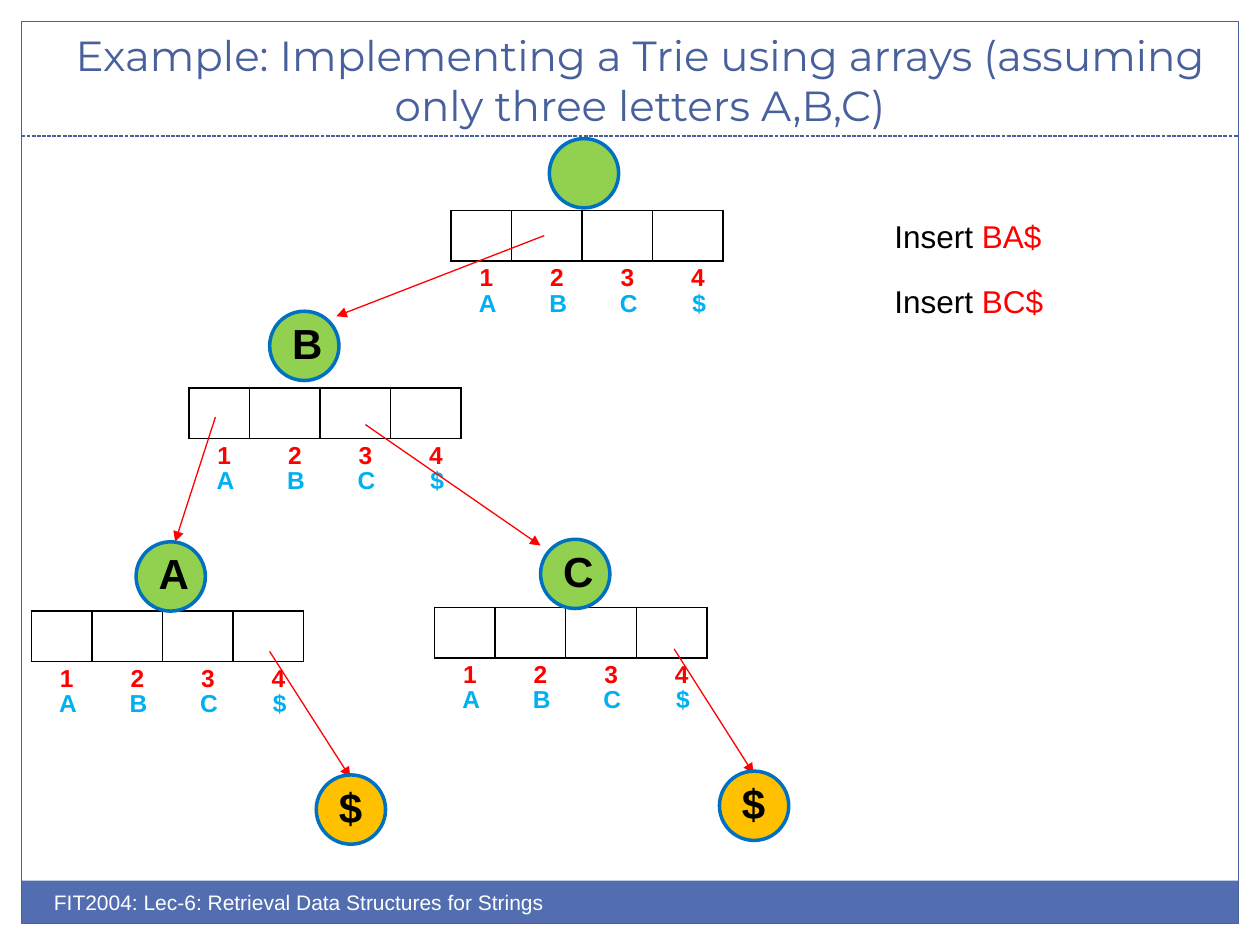
from lxml.etree import SubElement
from pptx import Presentation
from pptx.dml.color import RGBColor
from pptx.enum.dml import MSO_LINE
from pptx.enum.shapes import MSO_CONNECTOR, MSO_SHAPE
from pptx.enum.text import MSO_ANCHOR, PP_ALIGN
from pptx.oxml.ns import qn
from pptx.util import Inches, Pt

NAVY = RGBColor(0x48, 0x60, 0x9B)
BAR_BLUE = RGBColor(0x52, 0x6D, 0xB0)
RING_BLUE = RGBColor(0x00, 0x70, 0xC0)
SKY = RGBColor(0x00, 0xB0, 0xF0)
GREEN = RGBColor(0x92, 0xD0, 0x50)
AMBER = RGBColor(0xFF, 0xC0, 0x00)
RED = RGBColor(0xFF, 0x00, 0x00)
BLACK = RGBColor(0x00, 0x00, 0x00)
WHITE = RGBColor(0xFF, 0xFF, 0xFF)

TITLE = "Example: Implementing a Trie using arrays (assuming only three letters A,B,C)"
FOOTER = "FIT2004: Lec-6: Retrieval Data Structures for Strings"
INSERTS = [("BA$", 1.67), ("BC$", 2.19)]
INDEXES = ["1", "2", "3", "4"]
LETTERS = ["A", "B", "C", "$"]
ARRAYS = [(3.58, 1.67), (1.5, 3.08), (0.25, 4.85), (3.45, 4.82)]
NODES = [
    ("", 4.36, 1.1, GREEN),
    ("B", 2.14, 2.47, GREEN),
    ("A", 1.08, 4.3, GREEN),
    ("$", 2.51, 6.15, AMBER),
    ("C", 4.29, 4.28, GREEN),
    ("$", 5.71, 6.12, AMBER),
]
ARROWS = [
    ((4.32, 1.87), (2.67, 2.51)),
    ((1.71, 3.31), (1.39, 4.3)),
    ((2.9, 3.37), (4.29, 4.33)),
    ((2.14, 5.17), (2.78, 6.17)),
    ((5.35, 5.15), (5.98, 6.14)),
]

MARGIN = 0.17
SLOT = 0.56
FIRST_SLOT = 0.48
ROW = 0.4
DIAMETER = 0.55
NO_STYLE = "{2D5ABB26-0587-4C30-8999-92F81FD0307C}"


def add_span(para, text, size, color, bold=False, face="Arial"):
    span = para.add_run()
    span.text = text
    span.font.size = Pt(size)
    span.font.name = face
    span.font.bold = bold
    span.font.color.rgb = color


def add_text(shapes, left, top, width, height, wrap=True):
    box = shapes.add_textbox(Inches(left), Inches(top), Inches(width), Inches(height))
    box.text_frame.word_wrap = wrap
    return box.text_frame


def add_shape(shapes, kind, left, top, width, height, fill=None, line=None, weight=0.75):
    shape = shapes.add_shape(kind, Inches(left), Inches(top), Inches(width), Inches(height))
    shape.shadow.inherit = False
    if fill is None:
        shape.fill.background()
    else:
        shape.fill.solid()
        shape.fill.fore_color.rgb = fill
    if line is None:
        shape.line.fill.background()
    else:
        shape.line.color.rgb = line
        shape.line.width = Pt(weight)


def add_line(page, start, end, color):
    line = page.shapes.add_connector(MSO_CONNECTOR.STRAIGHT, *map(Inches, start + end))
    line.line.color.rgb = color
    line.line.width = Pt(0.75)
    SubElement(line._element.spPr, qn("a:effectLst"))
    return line


def add_border(cell):
    properties = cell._tc.get_or_add_tcPr()
    for position, side in enumerate(("lnL", "lnR", "lnT", "lnB")):
        border = SubElement(properties, qn(f"a:{side}"), w=str(Pt(1)))
        fill = SubElement(border, qn("a:solidFill"))
        SubElement(fill, qn("a:srgbClr"), val=str(BLACK))
        properties.insert(position, border)


def add_row(page, left, top, widths, texts, color=BLACK, bordered=False):
    frame = page.shapes.add_table(
        1, len(widths), Inches(left), Inches(top), Inches(sum(widths)), Inches(ROW))
    table = frame.table
    table._tbl.tblPr.find(qn("a:tableStyleId")).text = NO_STYLE
    table.first_row = table.horz_banding = False
    for column, width in zip(table.columns, widths):
        column.width = Inches(width)
    for cell, text in zip(table.rows[0].cells, texts):
        cell.fill.background()
        if bordered:
            add_border(cell)
        if text:
            para = cell.text_frame.paragraphs[0]
            para.alignment = PP_ALIGN.CENTER
            add_span(para, text, 14, color, bold=True)


def add_node(page, label, left, top, fill):
    group = page.shapes.add_group_shape()
    add_shape(group.shapes, MSO_SHAPE.OVAL, left, top, DIAMETER, DIAMETER, fill, RING_BLUE, 2)
    if label:
        width = 0.39 if label == "$" else 0.45
        frame = add_text(group.shapes, left + 0.08, top, width, 0.5, wrap=False)
        add_span(frame.paragraphs[0], label, 24, BLACK, bold=True)


def main():
    deck = Presentation()
    deck.slide_width, deck.slide_height = Inches(10), Inches(7.5)
    page = deck.slides.add_slide(deck.slide_layouts[6])

    inner_width, inner_height = 10 - 2 * MARGIN, 7.5 - 2 * MARGIN
    add_shape(page.shapes, MSO_SHAPE.RECTANGLE, MARGIN, 6.99, inner_width, 0.34, fill=BAR_BLUE)
    add_shape(page.shapes, MSO_SHAPE.RECTANGLE, MARGIN, MARGIN, inner_width, inner_height, line=NAVY)
    divider = add_line(page, (MARGIN, 1.08), (10 - MARGIN, 1.08), NAVY)
    divider.line.dash_style = MSO_LINE.SQUARE_DOT

    title = add_text(page.shapes, 0.33, 0.25, 9.5, 0.83)
    title.vertical_anchor = MSO_ANCHOR.BOTTOM
    title.paragraphs[0].alignment = PP_ALIGN.CENTER
    add_span(title.paragraphs[0], TITLE, 24, NAVY, face="Montserrat")
    footer = add_text(page.shapes, 0.33, 7.01, 5, 0.4)
    add_span(footer.paragraphs[0], FOOTER, 12, WHITE)

    for word, top in INSERTS:
        para = add_text(page.shapes, 7, top, 1.38, 0.4, wrap=False).paragraphs[0]
        add_span(para, "Insert ", 18, BLACK)
        add_span(para, word, 18, RED)

    for left, top in ARRAYS:
        add_row(page, left, top, [FIRST_SLOT] + [SLOT] * 3, [""] * 4, bordered=True)
        add_row(page, left, top + 0.38, [SLOT] * 4, INDEXES, RED)
        add_row(page, left + 0.01, top + 0.58, [SLOT] * 4, LETTERS, SKY)

    for start, end in ARROWS:
        arrow = add_line(page, start, end, RED)
        SubElement(arrow.line._get_or_add_ln(), qn("a:tailEnd"), type="triangle")

    for node in NODES:
        add_node(page, *node)

    deck.save("out.pptx")


if __name__ == "__main__":
    main()
